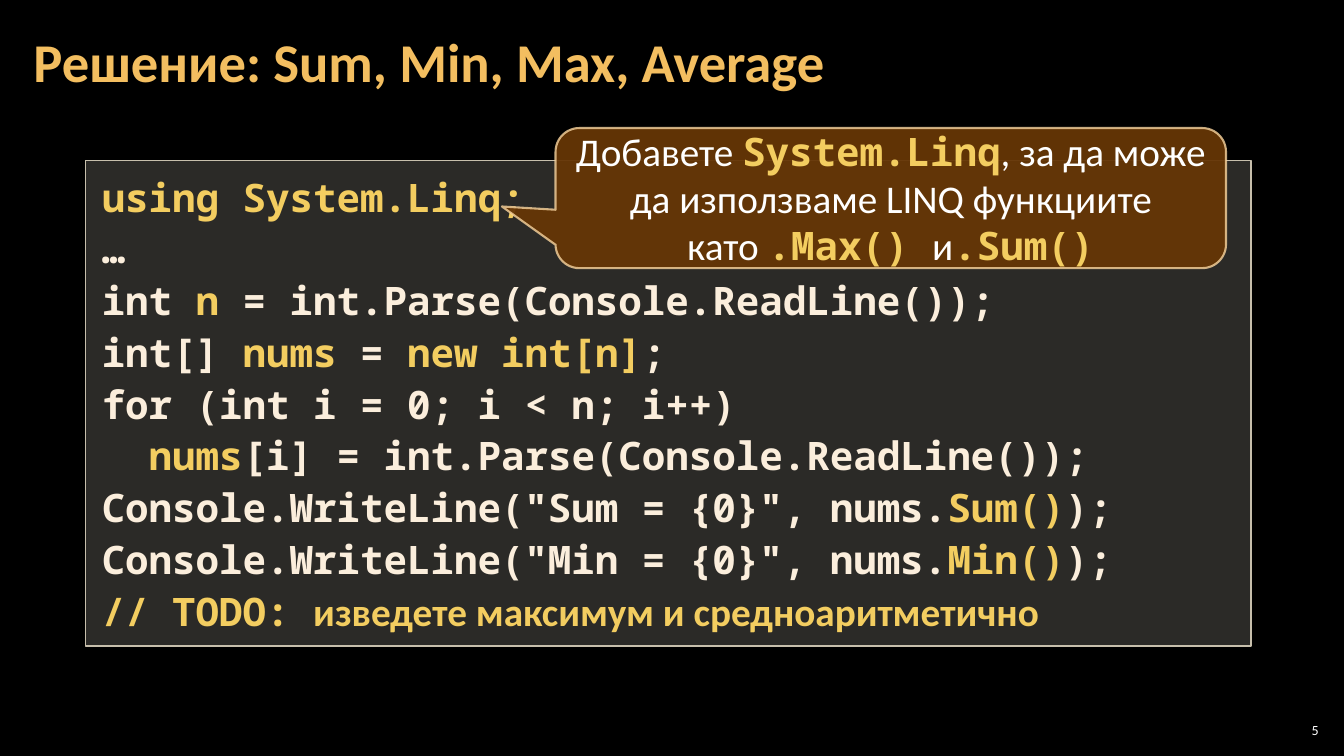
from dataclasses import dataclass

from lxml import etree
from pptx import Presentation
from pptx import util as u
from pptx.dml.color import RGBColor
from pptx.enum import shapes, text
from pptx.oxml.ns import qn


@dataclass(frozen=True)
class Theme:
    sans: str = "Calibri"
    mono: str = "Noto Sans Mono"
    title_size: int = 39
    body_size: int = 28
    number_size: int = 10
    background: str = "000000"
    title: str = "F3BE60"
    accent: str = "F3CD60"
    code: str = "FBEEDC"
    white: str = "FFFFFF"
    panel: str = "D9D5C7"
    panel_line: str = "C7BFAC"
    callout: str = "663606"
    callout_line: str = "F8D49E"


THEME = Theme()
WIDTH, HEIGHT = 13.33, 7.5


def style(name, size, color, bold=False):
    return {"name": name, "size": u.Pt(size), "bold": bold, "color": color}


TITLE = style(THEME.sans, THEME.title_size, THEME.title, True)
CODE = style(THEME.mono, THEME.body_size, THEME.code, True)
MARKED = style(THEME.mono, THEME.body_size, THEME.accent, True)
REMARK = style(THEME.sans, THEME.body_size, THEME.accent, True)
SPEECH = style(THEME.sans, THEME.body_size, THEME.white)
NUMBER = style(THEME.sans, THEME.number_size, THEME.white)

# An asterisk switches between the two styles of a line.
CODE_LINES = [
    "*using System.Linq;",
    "…",
    "int *n* = int.Parse(Console.ReadLine());",
    "int[] *nums* = *new int[n]*;",
    "for (int i = 0; i < n; i++)",
    "*  nums*[i] = int.Parse(Console.ReadLine());",
    'Console.WriteLine("Sum = {0}", nums.*Sum()*);',
    'Console.WriteLine("Min = {0}", nums.*Min()*);',
]
TODO_LINE = "// TODO: *изведете максимум и средноаритметично"
CALLOUT_TEXT = ("Добавете *System.Linq*, за да може да използваме "
                "LINQ функциите като *.Max() *и*.Sum()")


def set_all(target, values):
    for name, value in values.items():
        setattr(target, name, value)


def write(frame, lines, insets, anchor, para_format):
    """Fill a text frame with (marked text, pair of styles) lines."""
    side, end = map(u.Inches, insets)
    set_all(frame, {"word_wrap": True, "vertical_anchor": anchor,
                    "margin_left": side, "margin_right": side,
                    "margin_top": end, "margin_bottom": end})
    for index, (line, styles) in enumerate(lines):
        para = frame.add_paragraph() if index else frame.paragraphs[0]
        set_all(para, para_format)
        for turn, piece in enumerate(line.split("*")):
            if piece:
                span = para.add_run()
                span.text = piece
                font = dict(styles[turn % 2])
                span.font.color.rgb = RGBColor.from_string(font.pop("color"))
                set_all(span.font, font)


def paint(fill, color, opacity=100):
    fill.solid()
    fill.fore_color.rgb = RGBColor.from_string(color)
    if opacity < 100:
        element = next(fill._xPr.iter(qn("a:srgbClr")))
        etree.SubElement(element, qn("a:alpha"), val=str(opacity * 1000))


def add_panel(page, kind, box, fill, line, line_width):
    """Add a filled shape; fill and line are (colour, opacity)."""
    panel = page.shapes.add_shape(kind, *map(u.Inches, box))
    panel.shadow.inherit = False
    paint(panel.fill, *fill)
    paint(panel.line.fill, *line)
    panel.line.width = u.Pt(line_width)
    return panel


def add_label(page, box, content, font, insets, para_format):
    label = page.shapes.add_textbox(*map(u.Inches, box))
    write(label.text_frame, [(content, (font, font))], insets,
          text.MSO_ANCHOR.MIDDLE, para_format)


def add_code(page, box):
    panel = add_panel(page, shapes.MSO_SHAPE.RECTANGLE, box,
                      (THEME.panel, 20), (THEME.panel_line, 100), 1)
    lines = [(line, (CODE, MARKED)) for line in CODE_LINES]
    lines.append((TODO_LINE, (MARKED, REMARK)))
    write(panel.text_frame, lines, (0.16, 0.08), text.MSO_ANCHOR.TOP,
          {"alignment": text.PP_ALIGN.LEFT, "line_spacing": 1.1})
    panel.text_frame.auto_size = text.MSO_AUTO_SIZE.SHAPE_TO_FIT_TEXT


def add_callout(page, box):
    callout = add_panel(page, shapes.MSO_SHAPE.ROUNDED_RECTANGULAR_CALLOUT, box,
                        (THEME.callout, 95), (THEME.callout_line, 80), 1.5)
    for index, value in enumerate((-0.58, 0.06, 0.17)):
        callout.adjustments[index] = value
    write(callout.text_frame, [(CALLOUT_TEXT, (SPEECH, MARKED))], (0.1, 0.05),
          text.MSO_ANCHOR.MIDDLE, {"alignment": text.PP_ALIGN.CENTER})


def add_code_slide(deck):
    page = deck.slides.add_slide(deck.slide_layouts[6])
    paint(page.background.fill, THEME.background)
    margin = 0.21
    add_label(page, (margin, 0.04, WIDTH - 2 * margin, 1.21),
              "Решение: Sum, Min, Max, Average", TITLE, (0.12, 0.04),
              {"line_spacing": 0.9})
    add_code(page, (0.85, 1.59, 11.56, 4.82))
    add_callout(page, (5.51, 1.27, 6.65, 1.39))
    add_label(page, (WIDTH - margin - 0.47, 7.14, 0.47, 0.21), "5", NUMBER,
              (0.04, 0.04), {"alignment": text.PP_ALIGN.RIGHT})


def main():
    deck = Presentation()
    deck.slide_width, deck.slide_height = u.Inches(WIDTH), u.Inches(HEIGHT)
    add_code_slide(deck)
    deck.save("out.pptx")


if __name__ == "__main__":
    main()
